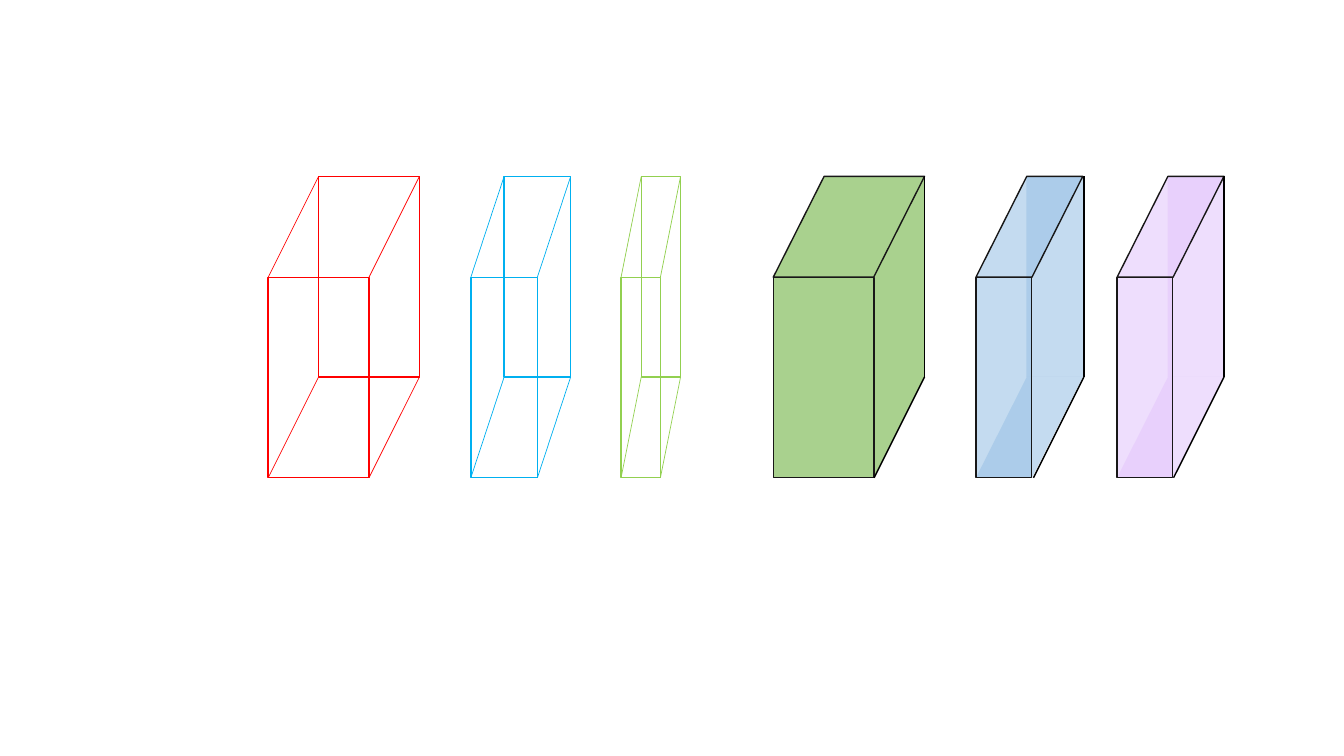
import pptx
import pptx.util
import pptx.dml.color
import pptx.enum.shapes
import pptx.oxml
import pptx.oxml.ns
from pptx.util import Inches

SHAPE = pptx.enum.shapes.MSO_SHAPE
TOP, HEIGHT, RISE = 1.75, 1.99, 1.0
FRONT = TOP + RISE
BACK_BOTTOM, FRONT_BOTTOM = TOP + HEIGHT, FRONT + HEIGHT


def rgb(color):
    return pptx.dml.color.RGBColor.from_string(color)


def set_line(line, color, width):
    line.color.rgb = rgb(color)
    line.width = pptx.util.Pt(width)


def add_face(group, kind, box, fill=None, alpha=100, line=None):
    sp = group.shapes.add_shape(kind, *map(Inches, box))
    sp.shadow.inherit = False
    if kind == SHAPE.PARALLELOGRAM:
        sp.adjustments[0] = 0.504
    if fill:
        sp.fill.solid()
        sp.fill.fore_color.rgb = rgb(fill)
        if alpha < 100:
            clr = sp.fill._xPr.find(".//" + pptx.oxml.ns.qn("a:srgbClr"))
            pptx.oxml.ns.qn("a:alpha")
            node = clr.makeelement(pptx.oxml.ns.qn("a:alpha"), {"val": str(alpha * 1000)})
            clr.append(node)
    else:
        sp.fill.background()
    if line:
        set_line(sp.line, line, 1)
    else:
        sp.line.fill.background()


def add_edge(group, start, end, color, width):
    cn = group.shapes.add_connector(
        pptx.enum.shapes.MSO_CONNECTOR.STRAIGHT, *map(Inches, start + end))
    set_line(cn.line, color, width)
    sp_pr = cn._element.spPr
    sp_pr.append(sp_pr.makeelement(pptx.oxml.ns.qn("a:effectLst"), {}))


def add_wire_box(s, left, width, depth, color):
    group = s.shapes.add_group_shape()
    for x, y in ((left, FRONT), (left + depth, TOP)):
        add_face(group, SHAPE.RECTANGLE, (x, y, width, HEIGHT), line=color)
    for x, y in ((left, FRONT), (left + width, FRONT),
                 (left + width, FRONT_BOTTOM), (left, FRONT_BOTTOM)):
        add_edge(group, (x, y), (x + depth, y - RISE), color, 0.5)


def add_solid_box(s, left, width, front_width, right, color, alpha):
    depth = 0.5
    group = s.shapes.add_group_shape()
    span = width + depth
    faces = (
        (SHAPE.RECTANGLE, (left + depth, TOP, width, HEIGHT), None),
        (SHAPE.PARALLELOGRAM, (left, BACK_BOTTOM, span, RISE), None),
        (SHAPE.RECTANGLE, (left, FRONT, front_width, HEIGHT), "181717"),
        (SHAPE.PARALLELOGRAM, (left, TOP, span, RISE), "181717"),
    )
    for kind, box, line in faces:
        add_face(group, kind, box, color, alpha, line)
    corner = (right, BACK_BOTTOM)
    for start in ((right - depth, FRONT_BOTTOM), (right, TOP)):
        add_edge(group, start, corner, "000000", 1)


def main():
    """Draw three wireframe boxes and three filled boxes in a row."""
    prs = pptx.Presentation()
    prs.slide_width, prs.slide_height = Inches(13.33), Inches(7.5)
    s = prs.slides.add_slide(prs.slide_layouts[6])
    for wire in ((2.66, 1, 0.5, "FF0000"),
                 (4.67, 0.66, 0.33, "00B0F0"),
                 (6.16, 0.39, 0.2, "92D050")):
        add_wire_box(s, *wire)
    for solid in ((7.67, 1, 1, 9.17, "A9D18E", 100),
                  (9.68, 0.56, 0.55, 10.75, "9DC3E6", 60),
                  (11.08, 0.56, 0.55, 12.14, "E4C8FC", 60)):
        add_solid_box(s, *solid)
    prs.save("out.pptx")


main()
